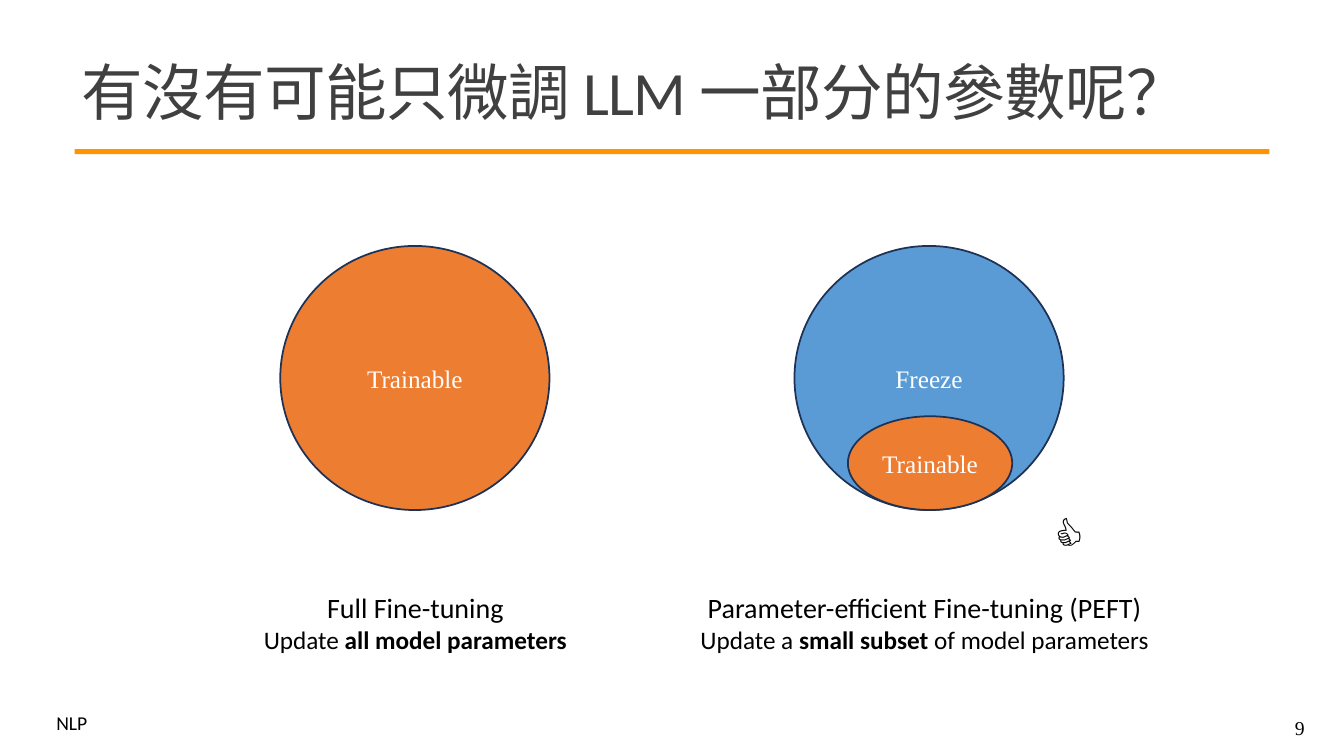
from pptx import Presentation
from pptx.dml.color import RGBColor
from pptx.enum.shapes import MSO_SHAPE
from pptx.enum.text import MSO_ANCHOR, MSO_AUTO_SIZE, PP_ALIGN
from pptx.util import Pt

PX = 9144  # 100 px to the inch
RECT, OVAL = MSO_SHAPE.RECTANGLE, MSO_SHAPE.OVAL
LEFT, MID, RIGHT = PP_ALIGN.LEFT, PP_ALIGN.CENTER, PP_ALIGN.RIGHT
TOP, CENTRE = MSO_ANCHOR.TOP, MSO_ANCHOR.MIDDLE
FIXED = MSO_AUTO_SIZE.NONE
SANS, SERIF = "Calibri", "Times New Roman"
ORANGE, BLUE, NAVY, GOLD = "ED7D31", "5A9BD5", "1E3256", "FF9400"
BLACK, WHITE, GREY = "000000", "FFFFFF", "404040"


def emu(*nums):
    return [n * PX for n in nums]


def tint(part, shade):
    part.rgb = RGBColor.from_string(shade)


def style(run, size, face=SANS, shade=BLACK, bold=False):
    run.font.size = Pt(size)
    run.font.name = face
    run.font.bold = bold
    tint(run.font.color, shade)


def write(frame, text, size, face=SANS, shade=BLACK, align=LEFT, anchor=TOP):
    frame.word_wrap = True
    frame.auto_size = FIXED
    frame.vertical_anchor = anchor
    frame.text = text
    para = frame.paragraphs[0]
    para.alignment = align
    style(para.runs[0], size, face, shade)
    return para


def label(slide, box, text, size, **look):
    return write(slide.shapes.add_textbox(*emu(*box)).text_frame, text, size, **look)


def shape(slide, kind, box, fill):
    item = slide.shapes.add_shape(kind, *emu(*box))
    item.shadow.inherit = False
    item.fill.solid()
    tint(item.fill.fore_color, fill)
    item.line.fill.background()
    return item


def head(slide, box, text):
    left, top, width, height = box
    title = slide.shapes.title
    title.left, title.top, title.width, title.height = emu(*box)
    para = write(title.text_frame, text, 44, shade=GREY, anchor=CENTRE)
    para.line_spacing = 0.85
    para.runs[0].font._element.set("spc", "-50")
    shape(slide, RECT, (left + 3, top + 109, width - 9, 5), GOLD)


def disc(slide, box, text, fill):
    item = shape(slide, OVAL, box, fill)
    item.line.width = Pt(1.25)
    tint(item.line.color, NAVY)
    write(item.text_frame, text, 18, SERIF, WHITE, MID, CENTRE)


def caption(slide, box, name, parts):
    """Name on the first line, then (text, bold) parts on the second."""
    para = label(slide, box, name, 20, align=MID)
    para.add_line_break()
    for text, bold in parts:
        run = para.add_run()
        run.text = text
        style(run, 18, bold=bold)


def full(slide, left, top):
    disc(slide, (left + 50, top, 267, 262), "Trainable", ORANGE)
    caption(slide, (left, top + 337, 368, 74), "Full Fine-tuning",
            [("Update ", False), ("all model parameters", True)])


def subset(slide, left, top):
    disc(slide, (left + 118, top, 267, 262), "Freeze", BLUE)
    disc(slide, (left + 171, top + 169, 163, 93), "Trainable", ORANGE)
    label(slide, (left + 334, top + 254, 113, 64), "👍", 32, align=MID)
    caption(slide, (left, top + 337, 494, 74),
            "Parameter-efficient Fine-tuning (PEFT)",
            [("Update a ", False), ("small subset", True),
             (" of model parameters", False)])


def foot(slide, top):
    label(slide, (46, top + 3, 61, 29), "NLP", 14).line_spacing = 0.8
    label(slide, (1161, top, 143, 40), "9", 14, face=SERIF, align=RIGHT,
          anchor=CENTRE)


def main():
    deck = Presentation()
    deck.slide_width, deck.slide_height = emu(1333, 750)
    slide = deck.slides.add_slide(deck.slide_layouts.get_by_name("Title Only"))
    head(slide, (71, 39, 1194, 113), "有沒有可能只微調 LLM 一部分的參數呢？")
    full(slide, 228, 244)
    subset(slide, 670, 244)
    foot(slide, 702)
    deck.save("out.pptx")


if __name__ == "__main__":
    main()
